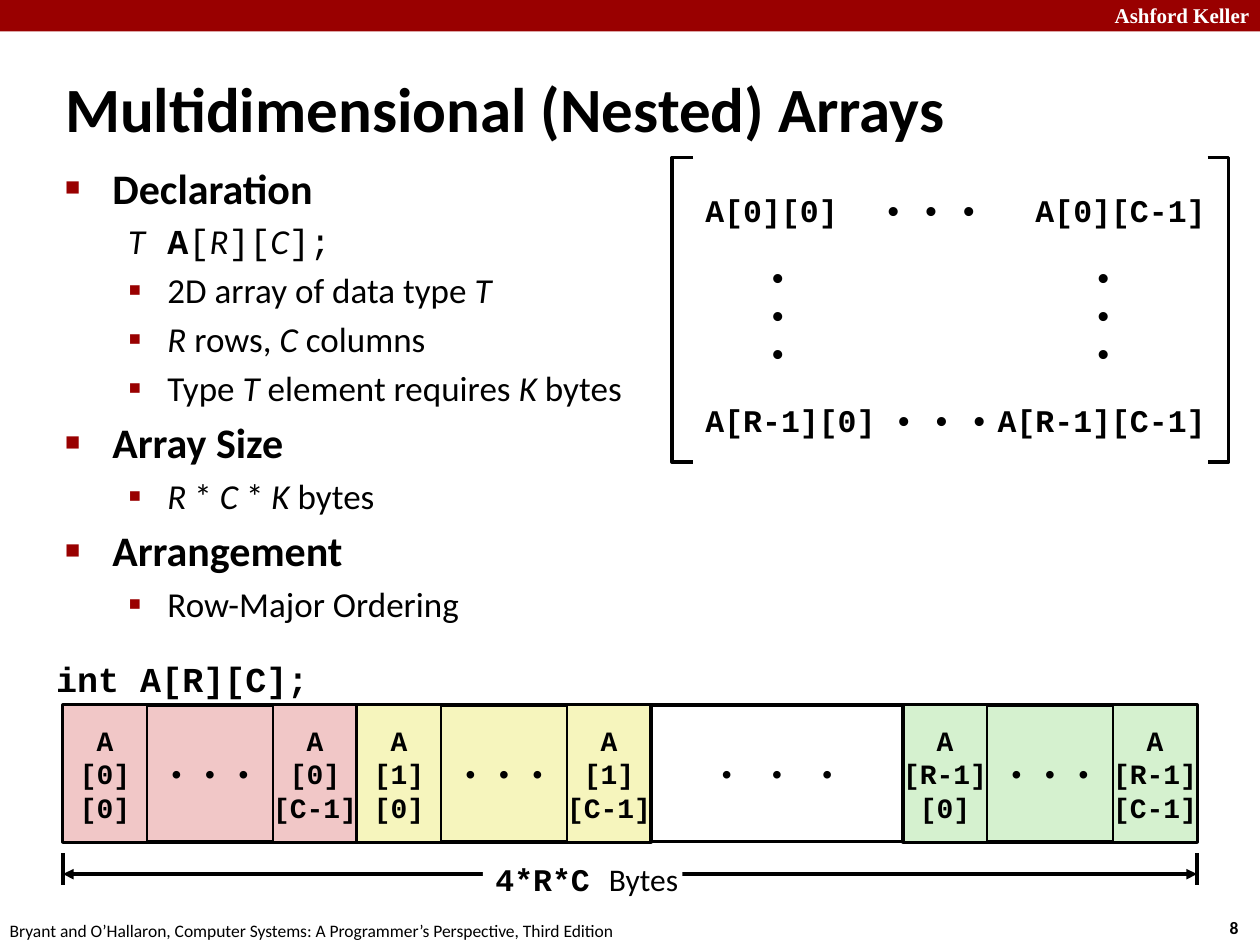
from lxml import etree
from pptx import Presentation
from pptx.dml.color import RGBColor
from pptx.enum import shapes, text
from pptx.oxml.ns import qn
from pptx.util import Pt

SANS, MONO, SERIF = "Calibri", "Courier New", "Times New Roman"
BLACK, WHITE, RED = "000000", "FFFFFF", "990000"
LEFT, CENTER, RIGHT = text.PP_ALIGN.LEFT, text.PP_ALIGN.CENTER, text.PP_ALIGN.RIGHT

TITLE = "Multidimensional (Nested) Arrays"
# Outline: (kind, [(words, style)]); style letters: b bold, i italic, m monospace
OUTLINE = [
    ("head", [("Declaration", "b")]),
    ("code", [("T\t", "i"), ("A", "bm"), ("[", "m"), ("R", "i"), ("][", "m"), ("C", "i"), ("];", "m")]),
    ("item", [("2D array of data type ", ""), ("T", "i")]),
    ("item", [("R", "i"), (" rows, ", ""), ("C", "i"), (" columns", "")]),
    ("item", [("Type ", ""), ("T", "i"), (" element requires ", ""), ("K", "i"), (" bytes", "")]),
    ("head", [("Array Size", "b")]),
    ("item", [("R", "i"), (" * ", ""), ("C ", "i"), ("* ", ""), ("K ", "i"), ("bytes", "")]),
    ("head", [("Arrangement", "b")]),
    ("item", [("Row-Major Ordering", "")]),
]
# kind: level, size, left margin, hanging indent, bullet, bullet size in percent
KINDS = {
    "head": (0, 24, 27, 27, "■", 60),
    "code": (1, 20, 58.5, 22.5, None, None),
    "item": (1, 20, 58.5, 22.5, "▪", 110),
}

DOTS = "• • •"
MATRIX = [  # words, left, top, width, height, alignment
    ("A[0][0]", 396, 102, 96, 36, LEFT),
    ("A[0][C-1]", 600, 102, 96, 36, RIGHT),
    ("A[R-1][0]", 396, 222, 96, 36, LEFT),
    (DOTS, 498, 102, 72, 36, LEFT),
    (DOTS, 504, 222, 72, 36, LEFT),
    ("A[R-1][C-1]", 600, 222, 96, 36, RIGHT),
    ("•\n•\n•", 432, 150, 36, 60, LEFT),
    ("•\n•\n•", 618, 150, 36, 60, LEFT),
]
BRACKETS = [(396, 384), (690, 702)]  # x of the tips, x of the spine
BRACKET_TOP, BRACKET_BOTTOM = 90, 264

ROWS = [("0", 36, "F1C7C7"), ("1", 204, "F6F5BD"), ("R-1", 516, "D5F1CF")]
MEMORY_LEFT, MEMORY_RIGHT, MEMORY_TOP, MEMORY_HEIGHT = 36, 684, 403, 78
ROW_WIDTH, CELL_WIDTH = 168, 48
GAP_LEFT, GAP_WIDTH = 372, 144


def color(hex_value):
    return RGBColor.from_string(hex_value)


def style(run, size, font=SANS, bold=False, italic=False, ink=BLACK):
    run.font.size, run.font.name = Pt(size), font
    run.font.bold, run.font.italic = bold, italic
    run.font.color.rgb = color(ink)


def write(shape, words, size, font=MONO, bold=True, align=LEFT, ink=BLACK):
    frame = shape.text_frame
    frame.text = words
    frame.word_wrap = False
    for paragraph in frame.paragraphs:
        paragraph.alignment = align
        for run in paragraph.runs:
            style(run, size, font, bold, ink=ink)


def add_runs(paragraph, parts, size):
    for words, letters in parts:
        run = paragraph.add_run()
        run.text = words
        style(run, size, MONO if "m" in letters else SANS, "b" in letters, "i" in letters)


def add_box(slide, left, top, width, height, fill=WHITE, line=None):
    box = slide.shapes.add_shape(
        shapes.MSO_SHAPE.RECTANGLE, Pt(left), Pt(top), Pt(width), Pt(height))
    box.shadow.inherit = False
    box.fill.solid()
    box.fill.fore_color.rgb = color(fill)
    if line:
        box.line.color.rgb = color(BLACK)
        box.line.width = Pt(line)
    else:
        box.line.fill.background()
    box.text_frame.vertical_anchor = text.MSO_ANCHOR.MIDDLE
    return box


def add_label(slide, words, left, top, width, height, size, **look):
    label = slide.shapes.add_textbox(Pt(left), Pt(top), Pt(width), Pt(height))
    write(label, words, size, **look)


def add_line(slide, x1, y1, x2, y2, arrows=False):
    line = slide.shapes.add_connector(
        shapes.MSO_CONNECTOR.STRAIGHT, Pt(x1), Pt(y1), Pt(x2), Pt(y2))
    line.line.color.rgb = color(BLACK)
    line.line.width = Pt(2)
    if arrows:
        for end in ("a:headEnd", "a:tailEnd"):
            etree.SubElement(line.line._get_or_add_ln(), qn(end), type="triangle")
    etree.SubElement(line._element.spPr, qn("a:effectLst"))


def place(placeholder, left, top, width, height):
    placeholder.left, placeholder.top = Pt(left), Pt(top)
    placeholder.width, placeholder.height = Pt(width), Pt(height)
    placeholder.text_frame.auto_size = text.MSO_AUTO_SIZE.NONE


def set_bullet(paragraph, margin, hanging, bullet, percent):
    props = paragraph._p.get_or_add_pPr()
    props.set("marL", str(Pt(margin)))
    props.set("indent", str(-Pt(hanging)))
    if bullet is None:
        etree.SubElement(props, qn("a:buNone"))
        return
    tint = etree.SubElement(props, qn("a:buClr"))
    etree.SubElement(tint, qn("a:srgbClr"), val=RED)
    etree.SubElement(props, qn("a:buSzPct"), val=str(percent * 1000))
    etree.SubElement(props, qn("a:buChar"), char=bullet)


def add_outline(body):
    place(body, 30, 89, 349, 265)
    frame = body.text_frame
    for index, (kind, parts) in enumerate(OUTLINE):
        level, size, *bullet = KINDS[kind]
        paragraph = frame.add_paragraph() if index else frame.paragraphs[0]
        paragraph.level = level
        set_bullet(paragraph, *bullet)
        add_runs(paragraph, parts, size)


def add_matrix(slide):
    for words, left, top, width, height, align in MATRIX:
        write(add_box(slide, left, top, width, height), words, 18, align=align)
    for tip, spine in BRACKETS:
        builder = slide.shapes.build_freeform(tip, BRACKET_TOP, scale=Pt(1))
        builder.add_line_segments(
            [(spine, BRACKET_TOP), (spine, BRACKET_BOTTOM), (tip, BRACKET_BOTTOM)], close=False)
        bracket = builder.convert_to_shape()
        bracket.shadow.inherit = False
        bracket.fill.background()
        bracket.line.color.rgb = color(BLACK)
        bracket.line.width = Pt(2)


def add_memory(slide):
    def add_cell(words, left, width, fill, line, bold):
        cell = add_box(slide, left, MEMORY_TOP, width, MEMORY_HEIGHT, fill, line)
        write(cell, words, 16, bold=bold, align=CENTER)

    for row, left, fill in ROWS:
        add_cell(DOTS, left, ROW_WIDTH, fill, 2.25, False)
        for column, offset in (("0", 0), ("C-1", ROW_WIDTH - CELL_WIDTH)):
            add_cell(f"A\n[{row}]\n[{column}]", left + offset, CELL_WIDTH, fill, 1, True)
    add_cell("•  •  •", GAP_LEFT, GAP_WIDTH, WHITE, 2, False)


def add_extent(slide):
    for x in (MEMORY_LEFT, MEMORY_RIGHT):
        add_line(slide, x, 487.5, x, 505.5)
    add_line(slide, MEMORY_LEFT, 499.5, MEMORY_RIGHT, 499.5, arrows=True)
    total = add_box(slide, 276, 487.5, 114, 30)
    total.text_frame.word_wrap = False
    paragraph = total.text_frame.paragraphs[0]
    paragraph.alignment = LEFT
    add_runs(paragraph, [("4*R*C ", "bm"), ("Bytes", "")], 18)


def main():
    deck = Presentation()
    deck.slide_width, deck.slide_height = Pt(720), Pt(540)
    slide = deck.slides.add_slide(deck.slide_layouts[1])
    title, body = slide.placeholders

    add_box(slide, 0, 0, 720, 18, RED)
    add_label(slide, "Ashford Keller", 622, -2, 99, 22, 12, font=SERIF, align=RIGHT, ink=WHITE)
    add_label(slide, "8", 695.5, 520.5, 27, 19.5, 10, font=SANS)
    add_label(slide, "Bryant and O’Hallaron, Computer Systems: A Programmer’s Perspective, Third Edition",
              -1.5, 522, 366, 19.5, 10, font=SANS, bold=False)

    place(title, 30, 39, 636, 45)
    write(title, TITLE, 36, font=SANS)
    title.text_frame.vertical_anchor = text.MSO_ANCHOR.MIDDLE
    add_outline(body)
    add_matrix(slide)
    add_label(slide, "int A[R][C];", 25, 372, 158.5, 31, 20, align=RIGHT)
    add_memory(slide)
    add_extent(slide)
    deck.save("out.pptx")


if __name__ == "__main__":
    main()
